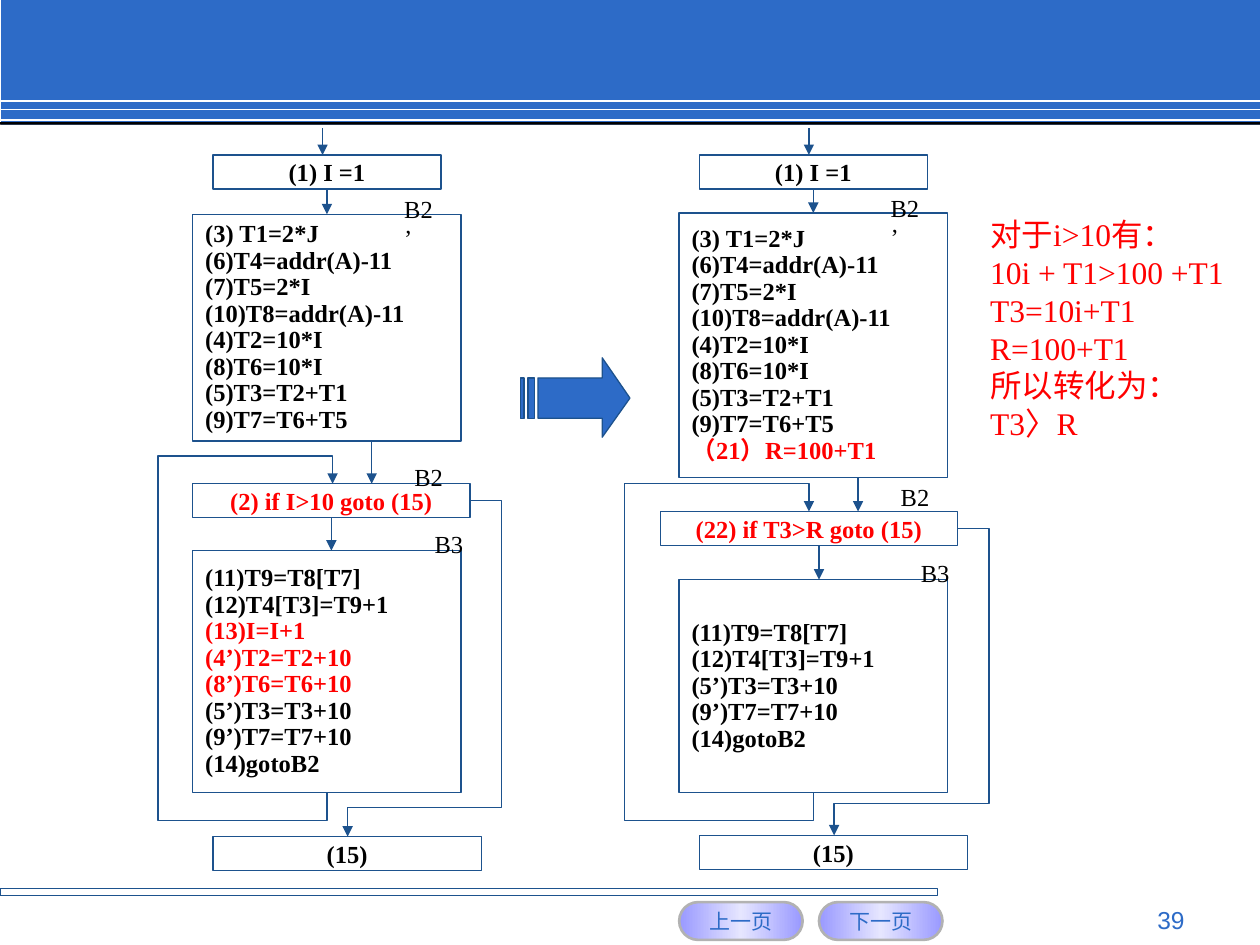
from copy import deepcopy
from dataclasses import dataclass

from pptx import Presentation
from pptx.dml.color import RGBColor
from pptx.enum.shapes import MSO_CONNECTOR as Link, MSO_SHAPE as Kind
from pptx.enum.text import MSO_ANCHOR as Anchor, PP_ALIGN as Align
from pptx.oxml.ns import qn
from pptx.oxml.xmlchemy import OxmlElement as Node
from pptx.util import Inches, Pt


@dataclass(frozen=True)
class Theme:
    blue: str = "2D6BC7"
    edge: str = "1D528D"
    red: str = "FF0000"
    black: str = "000000"
    white: str = "FFFFFF"
    rim: str = "B2B2B2"
    shine: tuple = ("9999FF", "E6E6FF", "9999FF")
    serif: str = "Times New Roman"
    sans: str = "Arial"
    small: int = 12
    body: int = 14
    large: int = 18
    thin: float = 0.75


@dataclass(frozen=True)
class Flow:
    """Measures of one flow chart; x values are relative to shift."""
    shift: float
    init: tuple      # top, height, code lines of B2'
    test: tuple      # left, top, width, code line of B2
    loop: tuple      # top, height, code lines of B3
    side: float      # left edge of the back loop
    enter: float     # where the back loop comes in
    leave: float     # where the test leads into B3
    turn: float      # height of the exit's last bend
    last: float      # top of the final box
    tags: tuple      # tops of the block labels


class Page:
    def __init__(self, slide, theme):
        self.slide, self.theme = slide, theme
        self.shapes = slide.shapes

    def paint(self, shape, fill=None, line=None, width=None):
        shape.shadow.inherit = False
        if fill:
            shape.fill.solid()
            shape.fill.fore_color.rgb = RGBColor.from_string(fill)
        else:
            shape.fill.background()
        if line:
            shape.line.color.rgb = RGBColor.from_string(line)
            shape.line.width = Pt(width or self.theme.thin)
        else:
            shape.line.fill.background()

    def label(self, shape, lines, size, color, font=None, bold=False,
              align=Align.LEFT, space=None, marked=()):
        """Fill a shape with lines; those in marked are red."""
        frame = shape.text_frame
        frame.text = "\n".join(lines)
        for para in frame.paragraphs:
            para.alignment = align
            para.line_spacing = space
            tint = self.theme.red if para.text in marked else color
            for run in para.runs:
                run.font.name = font or self.theme.serif
                run.font.size = Pt(size)
                run.font.bold = bold
                run.font.color.rgb = RGBColor.from_string(tint)

    def block(self, x, y, w, h, fill=None, line=None, kind=Kind.RECTANGLE):
        shape = self.shapes.add_shape(kind, *map(Inches, (x, y, w, h)))
        self.paint(shape, fill, line)
        return shape

    def code(self, x, y, w, h, *lines, marked=()):
        box = self.block(x, y, w, h, line=self.theme.edge)
        box.text_frame.word_wrap = True
        box.text_frame.vertical_anchor = Anchor.MIDDLE
        many = len(lines) > 1
        self.label(box, lines, self.theme.body, self.theme.black, bold=True,
                   align=Align.LEFT if many else Align.CENTER,
                   space=0.9 if many else None, marked=marked)
        return box

    def note(self, x, y, w, h, lines, size, color, font=None,
             align=Align.LEFT, wrap=False):
        box = self.shapes.add_textbox(*map(Inches, (x, y, w, h)))
        box.text_frame.word_wrap = wrap
        self.label(box, lines, size, color, font, align=align)

    def button(self, x, text):
        look = self.theme
        pill = self.block(x, 7.16, 0.98, 0.3, kind=Kind.ROUNDED_RECTANGLE)
        pill.adjustments[0] = 0.5
        self.paint(pill, line=look.rim, width=1.5)
        pill.fill.gradient()
        pill.fill.gradient_angle = 0
        stops = pill._element.spPr.find(".//" + qn("a:gsLst"))
        stops.append(deepcopy(stops[0]))
        for i, stop in enumerate(pill.fill.gradient_stops):
            stop.position = i / 2
            stop.color.rgb = RGBColor.from_string(look.shine[i])
        pill.text_frame.word_wrap = False
        pill.text_frame.vertical_anchor = Anchor.MIDDLE
        self.label(pill, [text], look.small, look.blue, look.sans,
                   align=Align.CENTER)

    def line(self, start, end, color=None, width=None, kind=Link.STRAIGHT,
             head=True):
        wire = self.shapes.add_connector(kind, *map(Inches, start + end))
        wire.line.color.rgb = RGBColor.from_string(color or self.theme.edge)
        wire.line.width = Pt(width or self.theme.thin)
        if head:
            tip = Node("a:tailEnd")
            tip.set("type", "triangle")
            wire._element.spPr.find(qn("a:ln")).append(tip)
        wire._element.spPr.append(Node("a:effectLst"))
        return wire

    def drop(self, x, top, foot, above=None, below=None):
        """Draw a downward arrow, joined to each box whose middle it meets."""
        wire = self.line((x, top), (x, foot))
        for box, join, site in ((above, wire.begin_connect, 2),
                                (below, wire.end_connect, 0)):
            if box and abs(box.left + box.width / 2 - Inches(x)) < Inches(0.01):
                join(box, site)

    def bend(self, start, end, *ratios):
        """Draw an elbow arrow with one bend ratio per inner segment."""
        wire = self.line(start, end, kind=Link.ELBOW)
        geom = wire._element.spPr.find(qn("a:prstGeom"))
        geom.set("prst", f"bentConnector{len(ratios) + 2}")
        guides = geom.find(qn("a:avLst"))
        if guides is None:
            guides = Node("a:avLst")
            geom.append(guides)
        for i, ratio in enumerate(ratios, 1):
            guide = Node("a:gd")
            guide.set("name", f"adj{i}")
            guide.set("fmla", f"val {round(ratio * 100000)}")
            guides.append(guide)
        return wire

    def back(self, start, end, low, side, high):
        """Lead an arrow down to low, out to side, up to high and in again."""
        (x0, y0), (x1, y1) = start, end
        rise, run = y0 - y1, x1 - x0
        mx, my = (x0 + x1) / 2, (y0 + y1) / 2
        wire = self.bend((mx - rise / 2, my - run / 2),
                         (mx + rise / 2, my + run / 2),
                         (y0 - low) / rise, (side - x0) / run,
                         (y0 - high) / rise)
        wire._element.spPr.find(qn("a:xfrm")).set("rot", str(270 * 60000))

    def arrow(self, *rings):
        pen = None
        for first, *rest in rings:
            spot = [Inches(v) for v in first]
            if pen:
                pen.move_to(*spot)
            else:
                pen = self.shapes.build_freeform(*spot)
            pen.add_line_segments([tuple(map(Inches, p)) for p in rest])
        self.paint(pen.convert_to_shape(), self.theme.blue, self.theme.edge)

    def chart(self, flow, marked):
        dx, left, wide, high = flow.shift, flow.shift + 1.53, 2.13, 0.27
        top, tall, lines = flow.init
        tx, ty, tw, text = flow.test
        ly, lh, steps = flow.loop
        begin = self.code(dx + 1.69, 1.23, 1.81, high, "(1) I =1")
        init = self.code(left, top, wide, tall, *lines, marked=marked)
        test = self.code(dx + tx, ty, tw, high, text, marked=marked)
        loop = self.code(left, ly, wide, lh, *steps, marked=marked)
        self.code(dx + 1.69, flow.last, wide, high, "(15)")

        mid, foot = left + wide / 2, ly + lh
        self.drop(dx + 2.56, 1.02, 1.23, below=begin)
        self.drop(mid, 1.5, top, begin, init)
        self.drop(dx + 2.95, top + tall, ty, init, test)
        self.drop(dx + flow.leave, ty + high, ly, test, loop)
        out, goal = (dx + tx + tw, ty + high / 2), (dx + 2.76, flow.last)
        self.bend(out, goal, -0.25 / (out[0] - goal[0]),
                  (flow.turn - out[1]) / (goal[1] - out[1]))
        self.back((mid, foot), (dx + flow.enter, ty), 6.51,
                  dx + flow.side, ty - 0.22)
        for name, x, y in zip(("B2’", "B2", "B3"), (3.11, 3.19, 3.35), flow.tags):
            self.note(dx + x, y, 0.45, 0.34, [name], self.theme.body,
                      self.theme.black)


INIT = ("(3) T1=2*J", "(6)T4=addr(A)-11", "(7)T5=2*I", "(10)T8=addr(A)-11",
        "(4)T2=10*I", "(8)T6=10*I", "(5)T3=T2+T1", "(9)T7=T6+T5")
HEAD = ("(11)T9=T8[T7]", "(12)T4[T3]=T9+1")
STEP = ("(13)I=I+1", "(4’)T2=T2+10", "(8’)T6=T6+10")
TAIL = ("(5’)T3=T3+10", "(9’)T7=T7+10", "(14)gotoB2")
BOUND = "（21）R=100+T1"
TESTS = ("(2) if I>10 goto (15)", "(22) if T3>R goto (15)")
FLOWS = (
    Flow(0, (1.7, 1.8, INIT), (1.53, 3.84, 2.2, TESTS[0]),
         (4.37, 1.92, HEAD + STEP + TAIL), 1.25, 2.64, 2.63, 6.41, 6.64,
         (1.49, 3.62, 4.15)),
    Flow(3.86, (1.69, 2.1, INIT + (BOUND,)), (1.38, 4.06, 2.36, TESTS[1]),
         (4.6, 1.69, HEAD + TAIL), 1.1, 2.56, 2.64, 6.38, 6.63,
         (1.48, 3.78, 4.38)),
)
REASON = ("对于i>10有：", "10i + T1>100 +T1", "T3=10i+T1", "R=100+T1",
          "所以转化为：", "T3〉R")


def main():
    deck = Presentation()
    deck.slide_width, deck.slide_height = Inches(10), Inches(7.5)
    look = Theme()
    page = Page(deck.slides.add_slide(deck.slide_layouts[6]), look)

    page.block(0.01, 0, 9.99, 0.99, look.blue)
    for y in (0.8, 0.87, 0.95):
        page.line((0, y), (10, y), look.white, 1, head=False)
    page.block(0, 0.97, 10, 0.02, look.black)
    page.block(0, 7.05, 7.44, 0.06, line=look.edge)
    page.button(5.39, "上一页")
    page.button(6.5, "下一页")

    for flow in FLOWS:
        page.chart(flow, STEP + TESTS + (BOUND,))
    bars = [[(a, 3), (a, 3.32), (b, 3.32), (b, 3), (a, 3)]
            for a, b in ((4.19, 4.24), (4.13, 4.16))]
    page.arrow([(4.78, 2.84), (4.78, 3), (4.27, 3), (4.27, 3.32), (4.78, 3.32),
                (4.78, 3.47), (5, 3.16), (4.78, 2.84)], *bars)
    page.note(7.76, 1.66, 2.06, 2.2, REASON, look.large, look.red)
    page.note(7.17, 7.13, 2.33, 0.27, ["39"], look.body, look.blue, look.sans,
              Align.RIGHT, True)
    deck.save("out.pptx")


if __name__ == "__main__":
    main()
